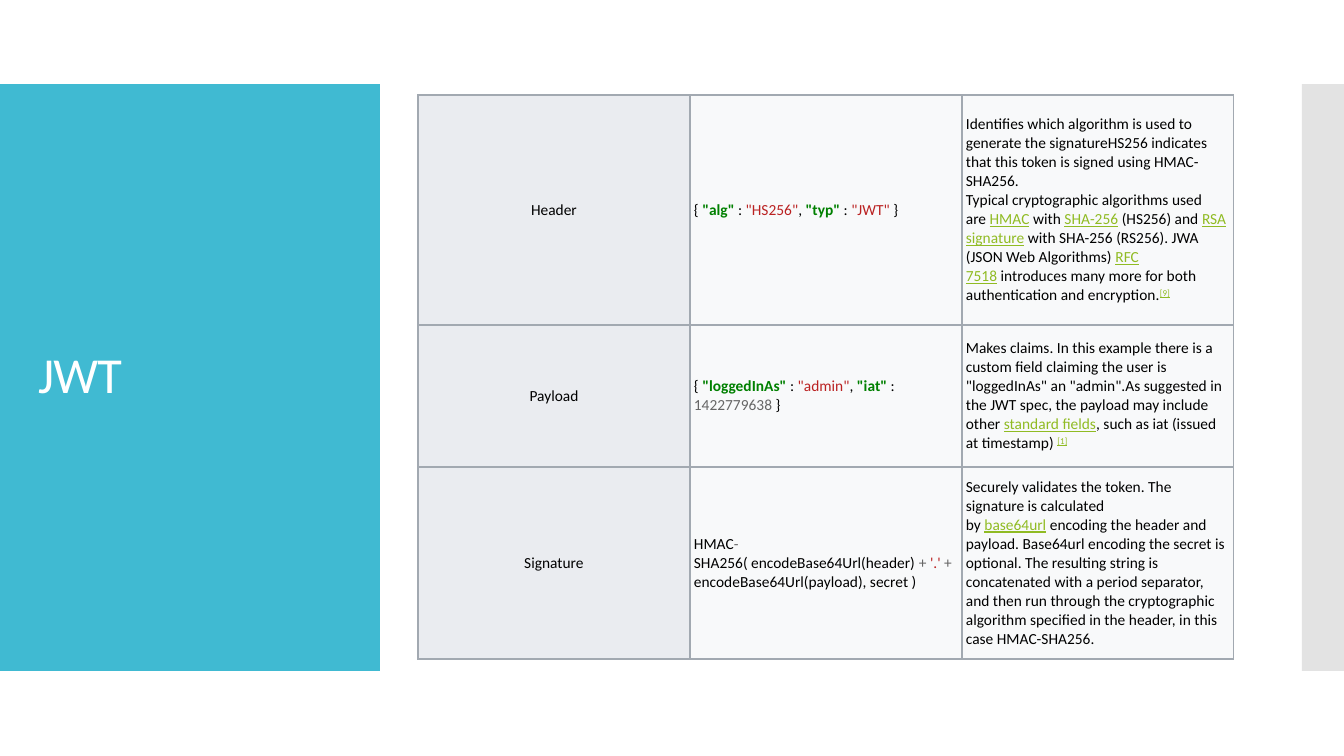
from lxml.etree import SubElement
from pptx import Presentation
from pptx.dml.color import RGBColor as RGB
from pptx.enum.shapes import MSO_SHAPE as SHAPE
from pptx.enum.text import MSO_ANCHOR as ANCHOR, PP_ALIGN as ALIGN
from pptx.oxml.ns import qn
from pptx.util import Pt

C = dict(teal="40BAD2", gray="C8C8C8", white="FFFFFF", black="000000",
         border="A2A9B1", label="EAECF0", cell="F8F9FA", key="008000",
         string="BA2121", number="666666", link="90BB23")

STYLES = {
    "text": dict(color="black"),
    "key": dict(color="key", bold=True),
    "string": dict(color="string"),
    "number": dict(color="number"),
    "link": dict(color="link", underline=True),
    "note": dict(color="link", underline=True, baseline=30000),
}

TITLE = "JWT"
ROWS = [
    ("Header",
     [["{ ", ('"alg"', "key"), " : ", ('"HS256"', "string"), ", ",
       ('"typ"', "key"), " : ", ('"JWT"', "string"), " } "]],
     [["Identifies which algorithm is used to generate the signatureHS256\u00a0indicates "
       "that this token is signed using HMAC-SHA256."],
      ["Typical cryptographic algorithms used are\u00a0", ("HMAC", "link"),
       "\u00a0with\u00a0", ("SHA-256", "link"), "\u00a0(HS256) and\u00a0",
       ("RSA signature", "link"),
       "\u00a0with SHA-256 (RS256). JWA (JSON Web Algorithms)\u00a0",
       ("RFC 7518", "link"),
       "\u00a0introduces many more for both authentication and encryption.",
       ("[9]", "note")]]),
    ("Payload",
     [["{ ", ('"loggedInAs"', "key"), " : ", ('"admin"', "string"), ", ",
       ('"iat"', "key"), " : ", ("1422779638", "number"), " } "]],
     [["Makes claims. In this example there is a custom field claiming the user is "
       '"loggedInAs" an "admin".As suggested in the JWT spec, the payload may include '
       "other\u00a0", ("standard fields", "link"),
       ", such as\u00a0iat\u00a0(issued at timestamp)\u00a0", ("[1]", "note")]]),
    ("Signature",
     [["HMAC", ("-", "number"), "SHA256( encodeBase64Url(header) ", ("+ ", "number"),
       ("'.' ", "string"), ("+", "number"), " encodeBase64Url(payload), secret ) "]],
     [["Securely validates the token. The signature is calculated by\u00a0",
       ("base64url", "link"),
       "\u00a0encoding the header and payload. Base64url encoding the secret is optional. "
       "The resulting string is concatenated with a period separator, and then run through "
       "the cryptographic algorithm specified in the header, in this case HMAC-SHA256."]]),
]

W, H = 1344, 756
BAND_TOP, BAND_H = 84, 587
BANDS = [(0, 380, "teal", None), (1302, 42, "gray", 50000)]
TITLE_BOX = (28, 124, 325, 507)
TABLE_LEFT, TABLE_TOP, COL_W = 418, 95, 272
ROW_H = [230, 142, 192]


def px(n):
    return round(n * 914400 / 100.8)


def rgb(name):
    return RGB.from_string(C[name])


def set_all(obj, values):
    for name, value in values.items():
        setattr(obj, name, value)


def add_run(p, text, size, color, baseline=None, **fmt):
    r = p.add_run()
    r.text = text
    set_all(r.font, dict(name="Calibri", size=Pt(size), **fmt))
    r.font.color.rgb = rgb(color)
    if baseline:
        r.font._element.set("baseline", str(baseline))
    return r


def add_border(cell):
    tc_pr = cell._tc.get_or_add_tcPr()
    for i, side in enumerate(("lnL", "lnR", "lnT", "lnB")):
        ln = SubElement(tc_pr, qn("a:" + side), w=str(Pt(1)))
        fill = SubElement(ln, qn("a:solidFill"))
        SubElement(fill, qn("a:srgbClr"), val=C["border"])
        tc_pr.insert(i, ln)


def fill_cell(cell, paragraphs, fill, align):
    set_all(cell, dict(vertical_anchor=ANCHOR.MIDDLE, margin_left=px(4),
                       margin_right=px(4), margin_top=px(2), margin_bottom=px(2)))
    cell.fill.solid()
    cell.fill.fore_color.rgb = rgb(fill)
    add_border(cell)
    tf = cell.text_frame
    for i, parts in enumerate(paragraphs):
        p = tf.add_paragraph() if i else tf.paragraphs[0]
        p.alignment = align
        for part in parts:
            text, style = (part, "text") if isinstance(part, str) else part
            add_run(p, text, 11, **STYLES[style])


prs = Presentation()
set_all(prs, dict(slide_width=px(W), slide_height=px(H)))
s = prs.slides.add_slide(prs.slide_layouts[5])

for left, width, color, alpha in BANDS:
    sp = s.shapes.add_shape(SHAPE.RECTANGLE, px(left), px(BAND_TOP), px(width), px(BAND_H))
    sp.shadow.inherit = False
    sp.fill.solid()
    sp.fill.fore_color.rgb = rgb(color)
    sp.line.fill.background()
    if alpha:
        clr = sp._element.spPr.find(".//" + qn("a:srgbClr"))
        SubElement(clr, qn("a:alpha"), val=str(alpha))

title = s.shapes.title
s.shapes._spTree.append(title._element)
set_all(title, dict(zip(("left", "top", "width", "height"), map(px, TITLE_BOX))))
set_all(title.text_frame, dict(vertical_anchor=ANCHOR.MIDDLE, word_wrap=True))
p = title.text_frame.paragraphs[0]
set_all(p, dict(alignment=ALIGN.LEFT, line_spacing=0.9))
r = add_run(p, TITLE, 36, "white")
r.font._element.set("spc", "-60")

table = s.shapes.add_table(len(ROWS), 3, px(TABLE_LEFT), px(TABLE_TOP),
                           px(3 * COL_W), px(sum(ROW_H))).table
set_all(table, dict(first_row=False, horz_banding=False))
for col in table.columns:
    col.width = px(COL_W)
for i, (label, example, description) in enumerate(ROWS):
    table.rows[i].height = px(ROW_H[i])
    fill_cell(table.cell(i, 0), [[label]], "label", ALIGN.CENTER)
    fill_cell(table.cell(i, 1), example, "cell", ALIGN.LEFT)
    fill_cell(table.cell(i, 2), description, "cell", ALIGN.LEFT)

prs.save("out.pptx")
